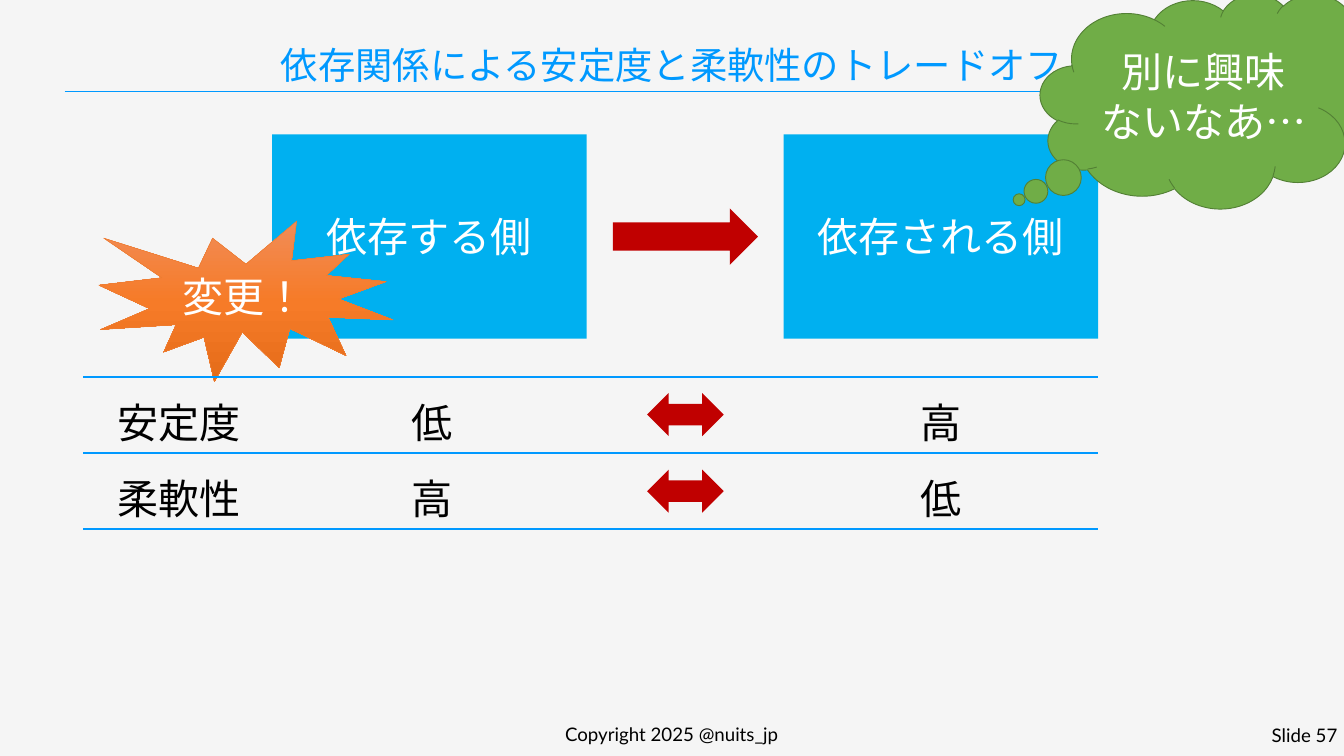
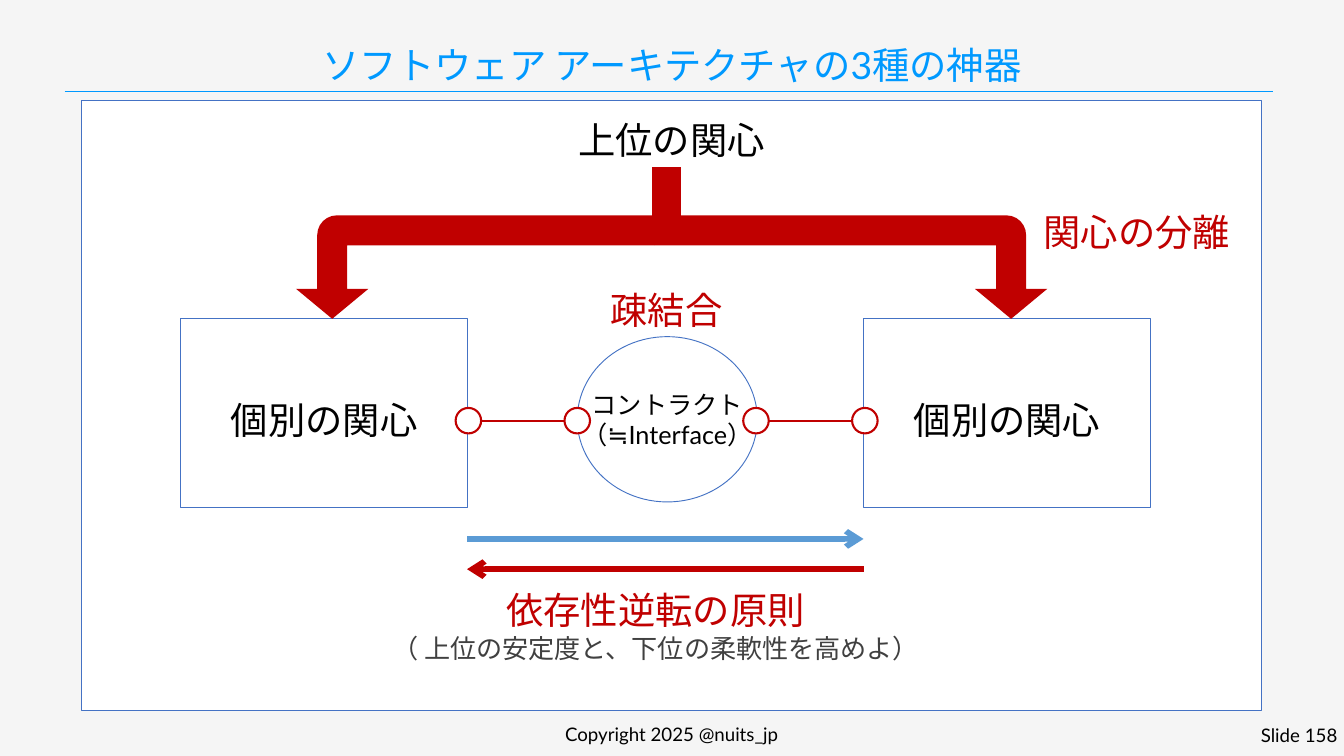
from pptx import Presentation
from pptx import oxml
from pptx import util as u
from pptx.dml import color
from pptx.enum import lang, shapes, text
from pptx.oxml import ns
from lxml import etree

FONT = "Lato"
BLACK = color.RGBColor(0x00, 0x00, 0x00)
WHITE = color.RGBColor(0xFF, 0xFF, 0xFF)
PAPER = color.RGBColor(0xF5, 0xF5, 0xF5)
GREY = color.RGBColor(0x40, 0x40, 0x40)
AZURE = color.RGBColor(0x00, 0x99, 0xFF)
SKY = color.RGBColor(0x00, 0xB0, 0xF0)
RED = color.RGBColor(0xC0, 0x00, 0x00)
GREEN = color.RGBColor(0x70, 0xAD, 0x47)
DARK_GREEN = color.RGBColor(0x53, 0x80, 0x35)
ORANGE = color.RGBColor(0xED, 0x7D, 0x31)
OUTLINE = color.RGBColor(0x44, 0x72, 0xC4)
STEEL = color.RGBColor(0x5B, 0x9B, 0xD5)

KIND = shapes.MSO_SHAPE
ALIGN = text.PP_ALIGN
ANCHOR = text.MSO_ANCHOR
PLAIN_TABLE = "{2D5ABB26-0587-4C30-8999-92F81FD0307C}"
DRAWING = ns.nsdecls("a")


# Shared helpers

def inches(*lengths):
    return [u.Inches(length) for length in lengths]


def write(frame, lines, size, ink, align=ALIGN.CENTER, anchor=ANCHOR.MIDDLE,
          insets=(0.1, 0.05, 0.1, 0.05), wrap=True):
    """Fill a text frame with one paragraph for each line."""
    frame.word_wrap = wrap
    frame.vertical_anchor = anchor
    (frame.margin_left, frame.margin_top,
     frame.margin_right, frame.margin_bottom) = inches(*insets)
    for index, line in enumerate(lines):
        para = frame.paragraphs[0] if index == 0 else frame.add_paragraph()
        para.text = line
        para.alignment = align
        style(para, size, ink)


def style(para, size, ink):
    para.font.name = FONT
    para.font.size = u.Pt(size)
    para.font.color.rgb = ink
    para.font.language_id = lang.MSO_LANGUAGE_ID.JAPANESE


def add_label(page, box, lines, size, ink, **options):
    label = page.shapes.add_textbox(*inches(*box))
    write(label.text_frame, lines, size, ink, **options)
    return label


def add_figure(parent, kind, box, fill, line=None, width=1):
    figure = parent.shapes.add_shape(kind, *inches(*box))
    figure.shadow.inherit = False
    figure.fill.solid()
    figure.fill.fore_color.rgb = fill
    if line is None:
        figure.line.fill.background()
    else:
        figure.line.color.rgb = line
        figure.line.width = u.Pt(width)
    return figure


def add_line(parent, start, end, ink, width, arrow=None):
    """Draw a straight line; arrow is headEnd, tailEnd or None."""
    line = parent.shapes.add_connector(
        shapes.MSO_CONNECTOR.STRAIGHT, *inches(*start, *end))
    line.line.color.rgb = ink
    line.line.width = u.Pt(width)
    properties = line._element.spPr
    if arrow:
        etree.SubElement(properties.find(ns.qn("a:ln")), ns.qn(f"a:{arrow}"), type="arrow")
    etree.SubElement(properties, ns.qn("a:effectLst"))


def start_page(deck, number):
    """Add a page with its background, footer and title rule."""
    page = deck.slides.add_slide(deck.slide_layouts[6])
    page.background.fill.solid()
    page.background.fill.fore_color.rgb = PAPER
    add_label(page, (6.62, 10.74, 6.75, 0.38), ["Copyright 2025 @nuits_jp"], 20, BLACK)
    add_label(page, (18.28, 10.75, 1.72, 0.37), [f"Slide {number}"], 20, BLACK,
              align=ALIGN.RIGHT)
    add_line(page, (0.96, 1.36), (18.94, 1.36), AZURE, 0.5)
    return page


def add_title(page, title):
    label = add_label(page, (0.35, 0.51, 19.3, 0.84), [title], 40, AZURE,
                      anchor=ANCHOR.BOTTOM)
    label.text_frame.paragraphs[0].line_spacing = 0.9


# Trade-off page

def add_dependency(page, left, top):
    """Two sides joined by a block arrow."""
    for offset, name in ((0, "依存する側"), (7.61, "依存される側")):
        side = add_figure(page, KIND.RECTANGLE, (left + offset, top, 4.68, 3.04), SKY)
        write(side.text_frame, [name], 44, WHITE)
    add_figure(page, KIND.RIGHT_ARROW, (left + 5.07, top + 1.1, 2.16, 0.84), RED)


def add_burst(page, box):
    burst = add_figure(page, KIND.EXPLOSION1, box, ORANGE, ORANGE, 0.5)
    stops = "".join(
        f'<a:gs pos="{place * 1000}"><a:srgbClr val="{shade}"/></a:gs>'
        for place, shade in ((0, "F18C57"), (50, "F67B28"), (100, "E56C19")))
    gradient = oxml.parse_xml(
        f'<a:gradFill {DRAWING} rotWithShape="1"><a:gsLst>{stops}</a:gsLst>'
        '<a:lin ang="5400000" scaled="0"/></a:gradFill>')
    properties = burst._element.spPr
    properties.replace(properties.find(ns.qn("a:solidFill")), gradient)
    write(burst.text_frame, ["変更！"], 44, WHITE)


def rule_cell(cell):
    """Give a cell lines above and below only."""
    properties = cell._tc.get_or_add_tcPr()
    for index, side in enumerate(("lnT", "lnB")):
        properties.insert(index, oxml.parse_xml(
            f'<a:{side} {DRAWING} w="{u.Pt(2.25)}"><a:solidFill>'
            f'<a:srgbClr val="{AZURE}"/></a:solidFill></a:{side}>'))


def add_tradeoff_table(page, left, top):
    rows = (("安定度", "低", "", "高"), ("柔軟性", "高", "", "低"))
    frame = page.shapes.add_table(2, 4, *inches(left, top, 15.11, 2.25))
    table = frame.table
    table.first_row = table.horz_banding = False
    table._tbl.tblPr.find(ns.qn("a:tableStyleId")).text = PLAIN_TABLE
    for column, width in zip(table.columns, (2.84, 4.71, 2.89, 4.66)):
        column.width = u.Inches(width)
    for row, words in enumerate(rows):
        for column, word in enumerate(words):
            cell = table.cell(row, column)
            cell.fill.background()
            rule_cell(cell)
            if word:
                cell.margin_top = cell.margin_bottom = u.Inches(0.2)
                cell.margin_left = cell.margin_right = u.Inches(0.1)
                para = cell.text_frame.paragraphs[0]
                para.text = word
                para.alignment = ALIGN.CENTER
                style(para, 44, BLACK)


def add_exchange_arrow(page, left, top):
    add_figure(page, KIND.LEFT_RIGHT_ARROW, (left, top, 1.14, 0.64), RED)


def add_thought(page, box):
    cloud = add_figure(page, KIND.CLOUD_CALLOUT, box, GREEN, DARK_GREEN)
    cloud.adjustments[0], cloud.adjustments[1] = -0.56, 0.46
    write(cloud.text_frame, ["別に興味", "ないなあ…"], 44, WHITE)


def build_tradeoff(deck):
    page = start_page(deck, 57)
    add_dependency(page, 4.05, 2)
    add_burst(page, (1.47, 3.29, 4.38, 2.39))
    add_tradeoff_table(page, 1.24, 5.61)
    add_exchange_arrow(page, 9.63, 5.85)
    add_thought(page, (15.48, -0.09, 5.24, 3.19))
    add_exchange_arrow(page, 9.63, 6.99)
    add_title(page, "依存関係による安定度と柔軟性のトレードオフ")


# Architecture page

def add_concern(page, box, name, anchor=ANCHOR.MIDDLE):
    concern = add_figure(page, KIND.RECTANGLE, box, WHITE, OUTLINE)
    write(concern.text_frame, [name], 40, BLACK, anchor=anchor,
          insets=(0.1, 0.24, 0.1, 0.05))


def add_bent_arrow(parent, box, mirrored=False):
    arrow = add_figure(parent, KIND.BENT_ARROW, box, RED)
    arrow.rotation = 90
    for index, value in enumerate((0.29, 0.35, 0.29, 0.19)):
        arrow.adjustments[index] = value
    if mirrored:
        arrow._element.spPr.find(ns.qn("a:xfrm")).set("flipV", "1")


def add_separation(page, left, top):
    """A stem that splits into two arrows, with its label."""
    add_bent_arrow(page, (left + 1.89, top - 1.18, 1.54, 5.33), mirrored=True)
    fork = page.shapes.add_group_shape()
    add_figure(fork, KIND.FLOWCHART_PROCESS, (left + 5.29, top, 0.44, 1.13), RED)
    add_bent_arrow(fork, (left + 7.48, top - 1.44, 1.54, 5.85))
    add_label(page, (left + 11.02, top + 0.57, 3.01, 0.77), ["関心の分離"], 40, RED,
              align=ALIGN.LEFT, anchor=ANCHOR.TOP, wrap=False)


def add_contract(page, left, top):
    """The contract circle under its label."""
    add_label(page, (left + 0.39, top, 1.88, 0.77), ["疎結合"], 40, RED,
              anchor=ANCHOR.TOP, wrap=False)
    circle = add_figure(page, KIND.OVAL, (left, top + 0.78, 2.68, 2.46), WHITE, OUTLINE)
    write(circle.text_frame, ["コントラクト", "（≒Interface）"], 27, BLACK,
          insets=(0, 0, 0, 0), wrap=False)


def add_link(page, left, top, width):
    """Two ports with a line between them."""
    port = 0.38
    link = page.shapes.add_group_shape()
    middle = top + port / 2
    add_line(link, (left + port, middle), (left + width - port, middle), RED, 2.25)
    for edge in (left, left + width - port):
        add_figure(link, KIND.OVAL, (edge, top, port, port), WHITE, RED, 2.25)


def add_inversion(page, left, top, width):
    """Opposite arrows above the principle they stand for."""
    right = left + width
    for offset, ink, arrow in ((0, STEEL, "tailEnd"), (0.45, RED, "headEnd")):
        add_line(page, (left, top + offset), (right, top + offset), ink, 6, arrow)
    label = add_label(page, (left - 1.28, top + 0.67, 8.17, 1.25),
                      ["依存性逆転の原則", "（ 上位の安定度と、下位の柔軟性を高めよ）"],
                      40, RED, anchor=ANCHOR.TOP, wrap=False)
    style(label.text_frame.paragraphs[1], 28, GREY)


def build_architecture(deck):
    page = start_page(deck, 158)
    add_concern(page, (1.21, 1.5, 17.57, 9.07), "上位の関心", ANCHOR.TOP)
    for left in (2.69, 12.85):
        add_concern(page, (left, 4.74, 4.27, 2.81), "個別の関心")
    add_separation(page, 4.41, 2.49)
    add_contract(page, 8.59, 4.23)
    for left in (6.78, 11.06):
        add_link(page, left, 6.07, 2)
    add_inversion(page, 6.95, 8.02, 5.9)
    add_title(page, "ソフトウェア アーキテクチャの3種の神器")


def main():
    deck = Presentation()
    deck.slide_width, deck.slide_height = inches(20, 11.25)
    build_tradeoff(deck)
    build_architecture(deck)
    deck.save("out.pptx")


if __name__ == "__main__":
    main()
